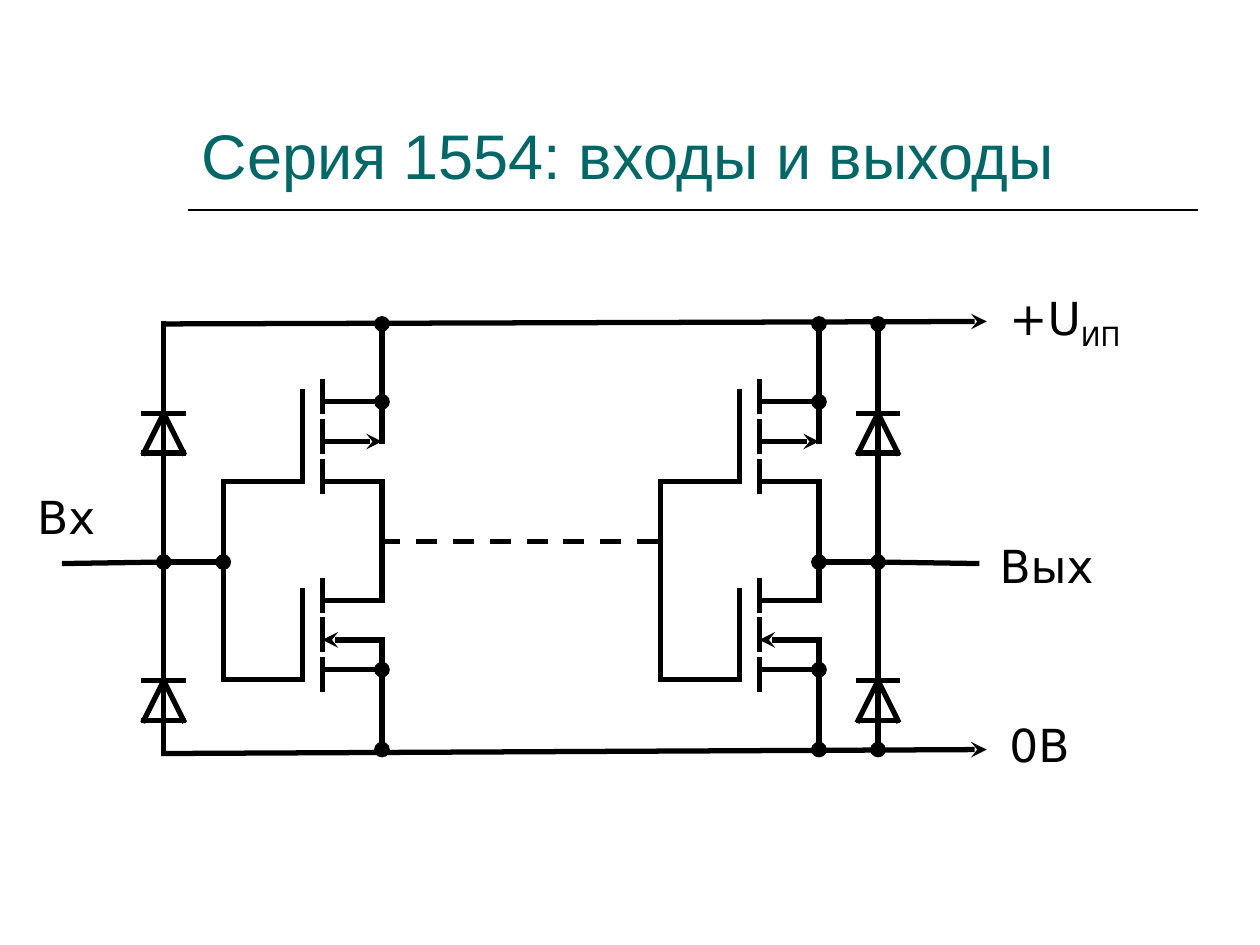
from pptx import Presentation
from pptx.dml.color import RGBColor
from pptx.enum.dml import MSO_LINE
from pptx.enum.shapes import MSO_CONNECTOR
from pptx.enum.text import MSO_ANCHOR, PP_ALIGN
from pptx.oxml.ns import qn
from pptx.util import Cm, Pt
from lxml.etree import SubElement

COLORS = {"ink": "000000", "title": "006666", "page": "FFFFFF"}


def color(name):
    """Return a named colour."""
    return RGBColor.from_string(COLORS[name])


def wire(page, start, end, head=None, tail=None, width=3, dashed=False):
    """Draw a line between two points, with optional end marks."""
    line = page.shapes.add_connector(
        MSO_CONNECTOR.STRAIGHT, *(Cm(value) for value in (*start, *end)))
    line.line.color.rgb = color("ink")
    line.line.width = Pt(width)
    if dashed:
        line.line.dash_style = MSO_LINE.DASH
    properties = line._element.spPr
    outline = properties.find(qn("a:ln"))
    outline.set("cap", "sq")
    for tag, mark in (("a:headEnd", head), ("a:tailEnd", tail)):
        if mark:
            SubElement(outline, qn(tag), type=mark)
    SubElement(properties, qn("a:effectLst"))


def heading(page, left, top, width, height):
    """Place the title and the rule below it."""
    title = page.shapes.title
    title.left, title.top, title.width, title.height = (
        Cm(value) for value in (left, top, width, height))
    frame = title.text_frame
    frame.text = "Серия 1554: входы и выходы"
    frame.vertical_anchor = MSO_ANCHOR.BOTTOM
    para = frame.paragraphs[0]
    para.alignment = PP_ALIGN.LEFT
    para.font.name = "Arial"
    para.font.size = Pt(36)
    para.font.color.rgb = color("title")
    rule = top + height + 0.23
    wire(page, (left, rule), (left + width, rule), width=1)


def label(page, left, top, width, text, subscript=None):
    """Write a terminal name, with an optional subscript."""
    box = page.shapes.add_textbox(Cm(left), Cm(top), Cm(width), Cm(1.37))
    box.text_frame.word_wrap = True
    para = box.text_frame.paragraphs[0]
    para.add_run().text = text
    if subscript:
        span = para.add_run()
        span.text = subscript
        span.font._element.set("baseline", "-25000")
    para.font.name = "DejaVu Sans"
    para.font.size = Pt(26)
    para.font.color.rgb = color("ink")


def diode(page, center, top):
    """Draw an upward diode from its cathode bar down."""
    half, bottom = 0.4, top + 0.8
    for y in (top, bottom):
        wire(page, (center - half, y), (center + half, y))
    for side in (-half, half):
        wire(page, (center, top), (center + side, bottom))


def transistor(page, left, top, p_type):
    """Draw a transistor with its gate lead at the left."""
    gate, channel, right = left + 1.6, left + 2, left + 3.2
    wire(page, (gate, top + 0.2), (gate, top + 2))
    lead = top + 2
    wire(page, (left, lead), (gate, lead))
    for index in range(3):
        start = top + 0.8 * index
        wire(page, (channel, start), (channel, start + 0.6))
    for y in (top + 0.4, top + (2 if p_type else 1.6 + 0.2)):
        wire(page, (channel, y), (right, y))
    tip, base = (right, channel) if p_type else (channel, right)
    wire(page, (tip, top + 1.2), (base, top + 1.2), head="stealth")


def inverter(page, left, top):
    """Draw a complementary pair between the supply rails."""
    upper, lower, right = top + 1.17, top + 5.17, left + 3.2
    transistor(page, left, upper, True)
    transistor(page, left, lower, False)
    wire(page, (left, upper + 2), (left, lower + 2))
    wire(page, (right, upper + 2), (right, lower + 0.4))
    wire(page, (right, upper + 1.2), (right, upper + 0.4), tail="oval")
    wire(page, (right, upper + 0.4), (right, top), tail="oval")
    wire(page, (right, lower + 1.2), (right, lower + 1.8), tail="oval")
    wire(page, (right, lower + 1.8), (right, top + 8.58), tail="oval")


def circuit(page, left, top):
    """Draw the rails, both inverters, the protection diodes and the leads."""
    middle, bottom = top + 4.8, top + 8.58
    first, second, output = left + 1.2, left + 10.01, left + 14.4
    rail_end = left + 16.59
    wire(page, (rail_end, top - 0.05), (left, top), head="stealth")
    wire(page, (rail_end, bottom), (left, bottom + 0.08), head="stealth")
    for stage in (first, second):
        inverter(page, stage, top)
    wire(page, (first + 3.2, top + 4.39), (second, top + 4.39), dashed=True)
    for center in (left, output):
        for offset in (1.8, 7.19):
            diode(page, center, top + offset)
    wire(page, (left, top), (left, bottom))
    for y in (top, bottom):
        wire(page, (output, middle), (output, y), tail="oval")
    wire(page, (left - 2, middle + 0.03), (left, middle), tail="oval")
    wire(page, (left, middle), (first, middle), tail="oval")
    wire(page, (left + 16.39, middle + 0.03), (output, middle), tail="oval")
    wire(page, (output, middle), (second + 3.2, middle), tail="oval")
    label(page, left - 2.8, top + 3.2, 2.4, "Вх")
    label(page, left + 16.6, top + 4.19, 2.8, "Вых")
    label(page, left + 16.8, top - 0.81, 3.2, "+U", "ИП")
    label(page, left + 16.8, top + 7.8, 3.2, "0В")


def main():
    """Build the deck and save it."""
    deck = Presentation()
    deck.slide_width, deck.slide_height = Cm(25.4), Cm(19.05)
    page = deck.slides.add_slide(deck.slide_layouts[5])
    page.background.fill.solid()
    page.background.fill.fore_color.rgb = color("page")
    heading(page, 3.81, 0.84, 20.32, 3.17)
    circuit(page, 3.3, 6.53)
    deck.save("out.pptx")


if __name__ == "__main__":
    main()
